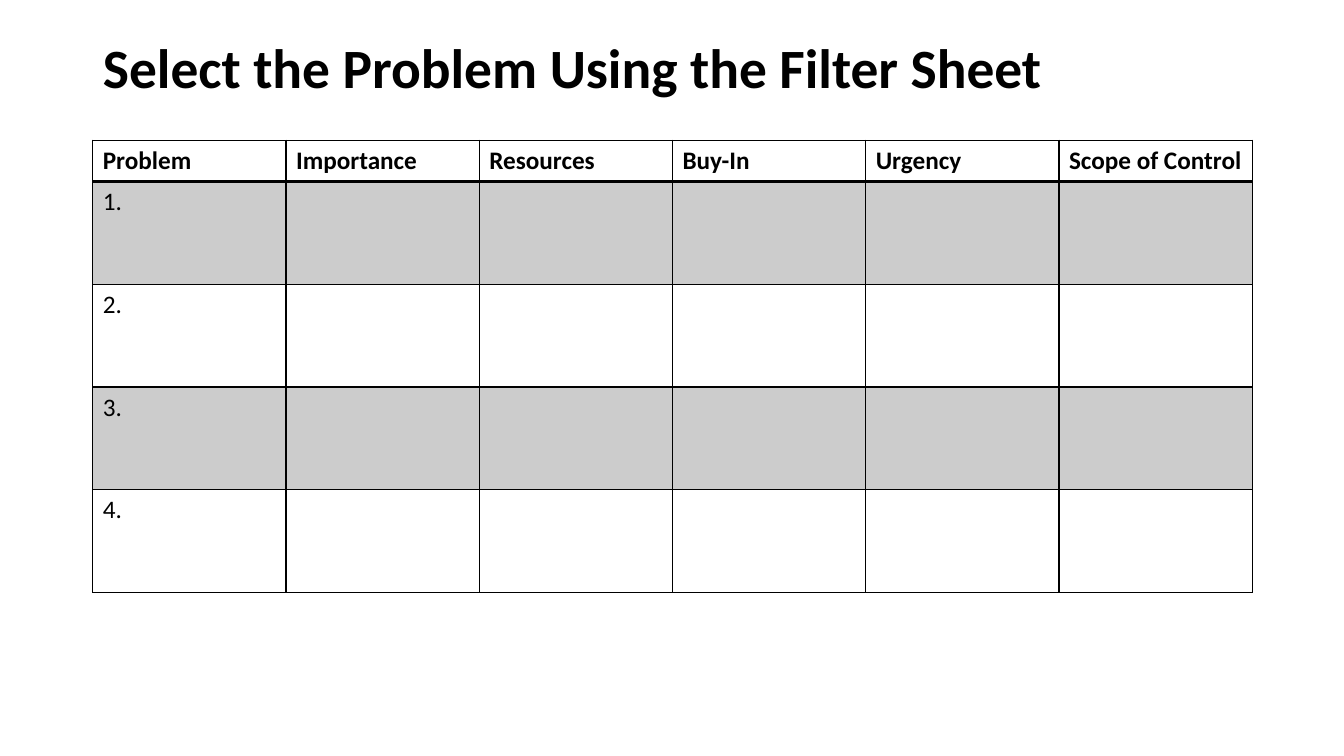
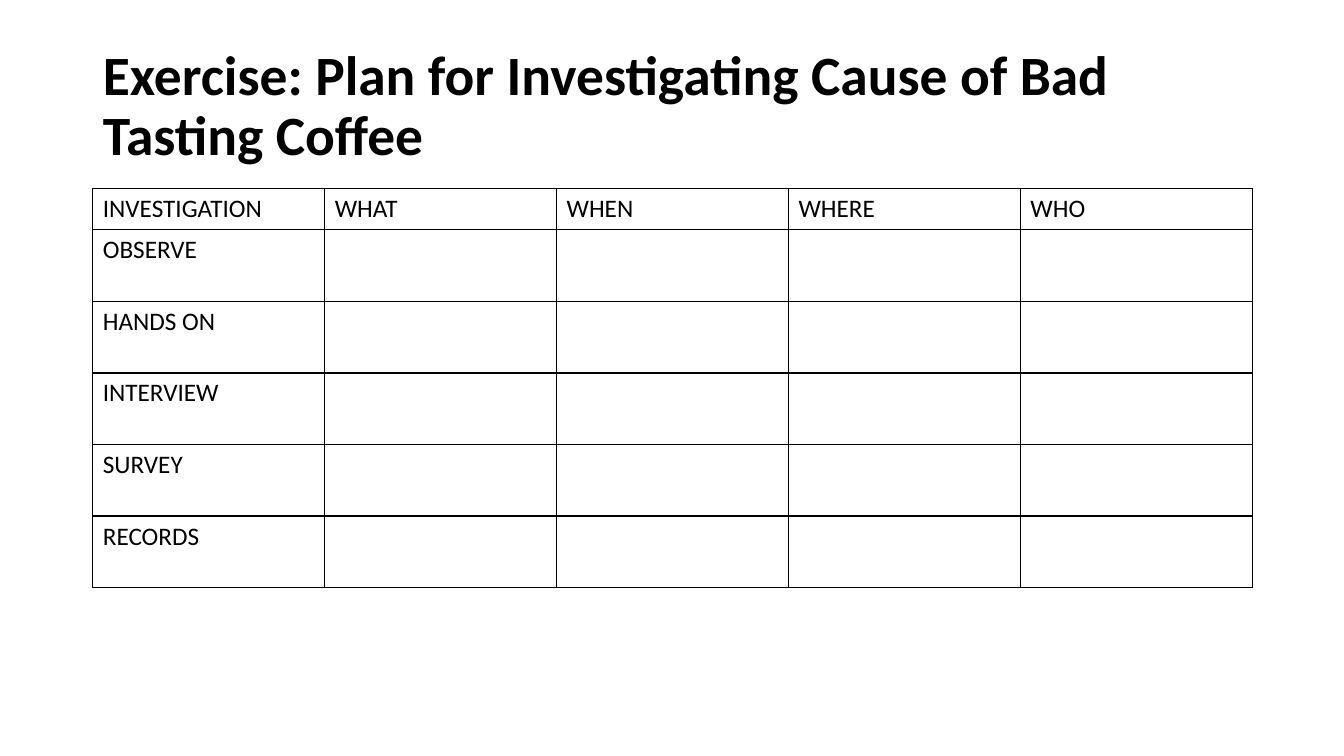
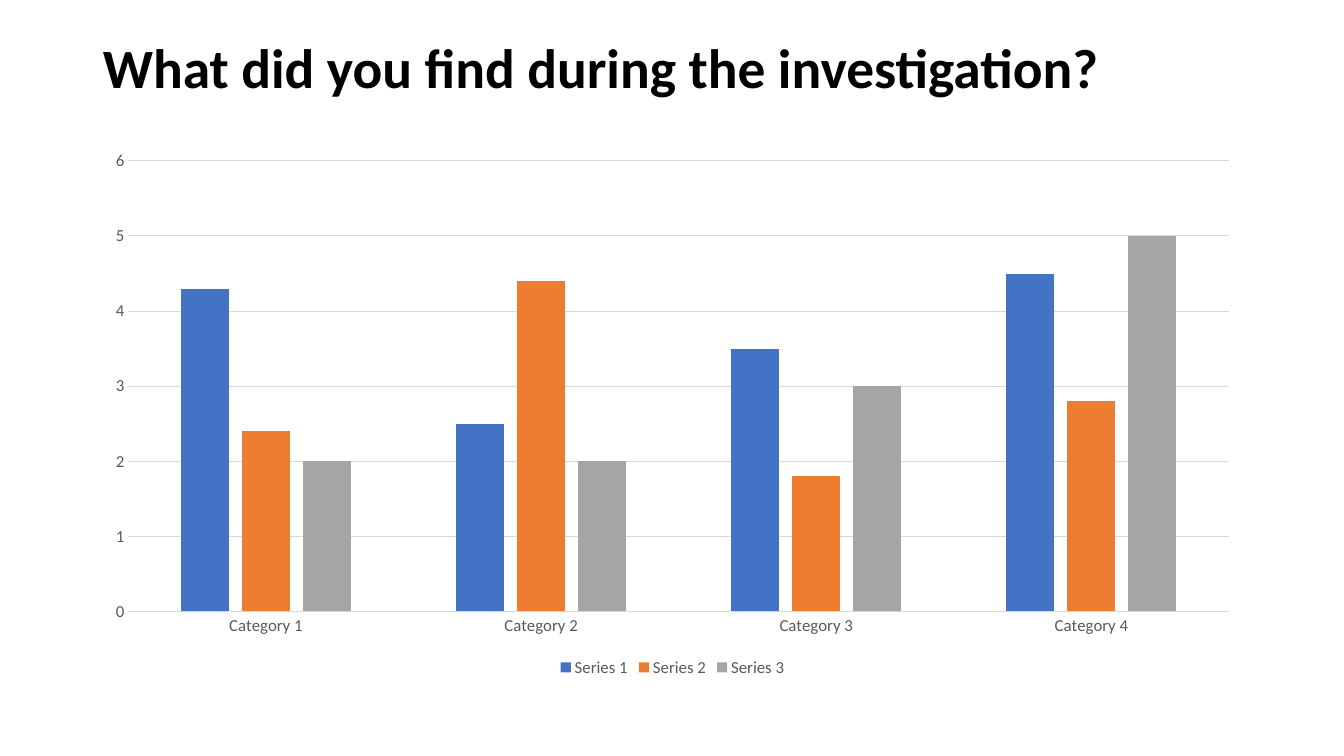
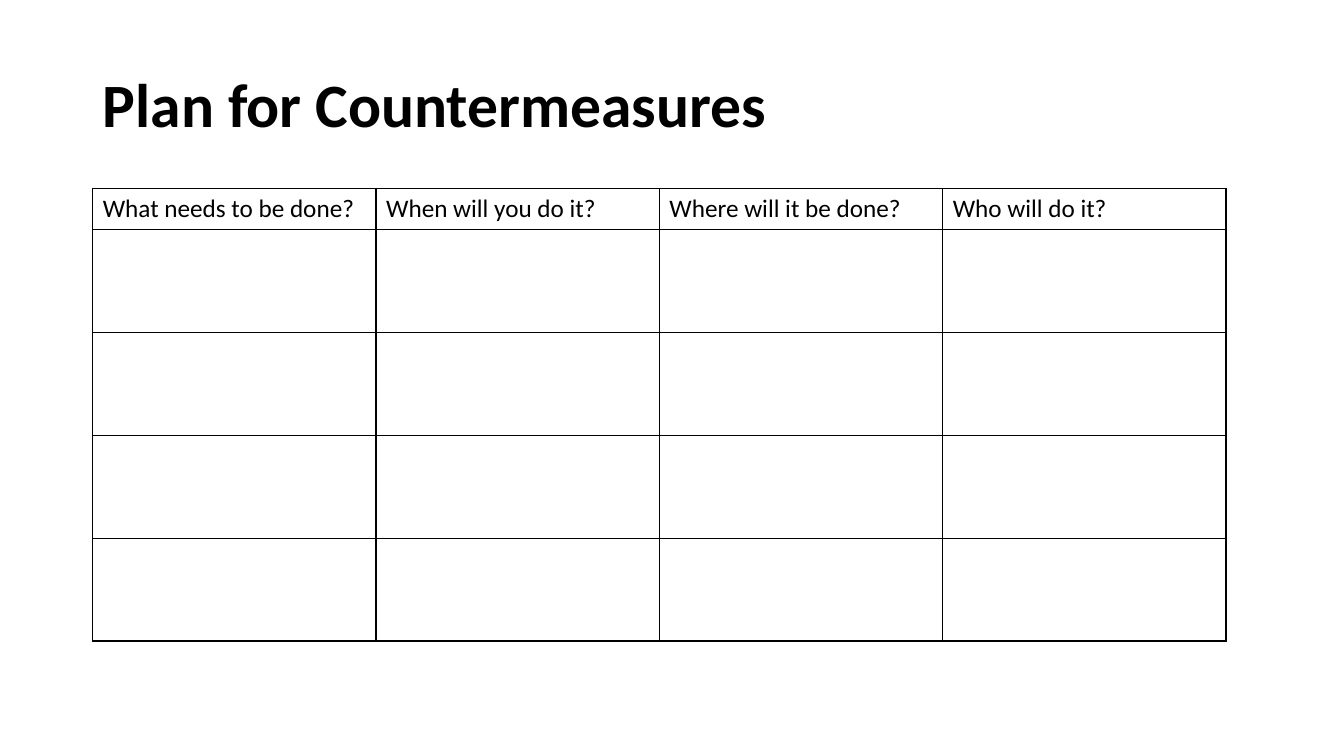
from lxml import etree
from pptx import Presentation
from pptx.chart.data import CategoryChartData
from pptx.dml.color import RGBColor
from pptx.enum.chart import XL_CHART_TYPE, XL_LEGEND_POSITION, XL_TICK_MARK
from pptx.enum.text import MSO_ANCHOR, MSO_AUTO_SIZE, PP_ALIGN
from pptx.oxml.ns import qn
from pptx.util import Inches, Pt

COLUMN = XL_CHART_TYPE.COLUMN_CLUSTERED
LEGEND_BOTTOM = XL_LEGEND_POSITION.BOTTOM
NO_TICK = XL_TICK_MARK.NONE
MIDDLE = MSO_ANCHOR.MIDDLE
NO_AUTOFIT = MSO_AUTO_SIZE.NONE
LEFT = PP_ALIGN.LEFT

FONT = "Calibri"
BLACK, BAND, GRID, LABEL = "000000", "CCCCCC", "D9D9D9", "595959"
SERIES_COLORS = ("4472C4", "ED7D31", "A5A5A5")

SLIDE_W, SLIDE_H = 13.33, 7.5
MARGIN = 0.92
CONTENT_W = 11.5
TITLE_TOP = 0.4
SHORT_TITLE, TALL_TITLE = 0.59, 1.34
HIGH_TOP, LOW_TOP = 1.39, 1.87
HEADER_H = 0.41


def rgb(color):
    return RGBColor.from_string(color)


def set_font(font, size, color=BLACK, bold=False):
    font.name = FONT
    font.size = Pt(size)
    font.bold = bold
    font.color.rgb = rgb(color)


def add_titled_slide(prs, text, height, size=39.6):
    s = prs.slides.add_slide(prs.slide_layouts[5])
    title = s.shapes.title
    title.left, title.top = Inches(MARGIN), Inches(TITLE_TOP)
    title.width, title.height = Inches(CONTENT_W), Inches(height)
    tf = title.text_frame
    tf.text = text
    tf.word_wrap = True
    tf.auto_size = NO_AUTOFIT
    tf.vertical_anchor = MIDDLE
    p = tf.paragraphs[0]
    p.alignment = LEFT
    p.line_spacing = 0.9
    set_font(p.font, size, bold=True)
    return s


def set_borders(cell, bottom=1):
    """Draw black 1 pt lines round a cell; the bottom one may be heavier."""
    tc_pr = cell._tc.get_or_add_tcPr()
    for side, width in (("L", 1), ("R", 1), ("T", 1), ("B", bottom)):
        ln = etree.SubElement(tc_pr, qn(f"a:ln{side}"), w=str(Pt(width)))
        fill = etree.SubElement(ln, qn("a:solidFill"))
        etree.SubElement(fill, qn("a:srgbClr"), val=BLACK)


def add_worksheet(s, top, headers, row_labels, row_h, width=CONTENT_W,
                  strong_header=False, banded=False):
    """Add a table with a header row, labels in column one and empty cells."""
    rows = [headers] + [[label] + [""] * (len(headers) - 1) for label in row_labels]
    heights = [HEADER_H] + [row_h] * len(row_labels)
    table = s.shapes.add_table(len(rows), len(headers), Inches(MARGIN), Inches(top),
                               Inches(width), Inches(sum(heights))).table
    table.first_row = table.horz_banding = False
    for i, texts in enumerate(rows):
        table.rows[i].height = Inches(heights[i])
        strong = strong_header and i == 0
        for j, text in enumerate(texts):
            cell = table.cell(i, j)
            cell.text = text
            set_font(cell.text_frame.paragraphs[0].font, 18, bold=strong)
            set_borders(cell, bottom=2 if strong else 1)
            if banded and i % 2:
                cell.fill.solid()
                cell.fill.fore_color.rgb = rgb(BAND)
            else:
                cell.fill.background()


def set_line(line, color):
    line.color.rgb = rgb(color)
    line.width = Pt(0.75)


def add_column_chart(s, top, height, categories, series):
    data = CategoryChartData()
    data.categories = categories
    for name, values in series:
        data.add_series(name, values)
    chart = s.shapes.add_chart(COLUMN, Inches(MARGIN), Inches(top), Inches(CONTENT_W),
                               Inches(height), data).chart
    set_font(chart.font, 10)
    chart.has_title = False

    chart.has_legend = True
    chart.legend.position = LEGEND_BOTTOM
    chart.legend.include_in_layout = False
    set_font(chart.legend.font, 12, LABEL)

    for axis in (chart.category_axis, chart.value_axis):
        axis.major_tick_mark = axis.minor_tick_mark = NO_TICK
        set_font(axis.tick_labels.font, 12, LABEL)
    set_line(chart.category_axis.format.line, GRID)
    chart.value_axis.format.line.fill.background()
    set_line(chart.value_axis.major_gridlines.format.line, GRID)

    plot = chart.plots[0]
    plot.gap_width = 219
    plot.overlap = -27
    plot.vary_by_categories = False
    for bars, color in zip(plot.series, SERIES_COLORS):
        bars.format.fill.solid()
        bars.format.fill.fore_color.rgb = rgb(color)


def main():
    prs = Presentation()
    prs.slide_width, prs.slide_height = Inches(SLIDE_W), Inches(SLIDE_H)

    s = add_titled_slide(prs, "Select the Problem Using the Filter Sheet", SHORT_TITLE)
    add_worksheet(s, HIGH_TOP,
                  ["Problem", "Importance", "Resources", "Buy-In", "Urgency",
                   "Scope of Control"],
                  ["1.", "2.", "3.", "4."], 1.02, strong_header=True, banded=True)

    s = add_titled_slide(
        prs, "Exercise: Plan for Investigating Cause of Bad Tasting Coffee", TALL_TITLE)
    add_worksheet(s, LOW_TOP, ["INVESTIGATION", "WHAT", "WHEN", "WHERE", "WHO"],
                  ["OBSERVE", "HANDS ON", "INTERVIEW", "SURVEY", "RECORDS"], 0.71)

    s = add_titled_slide(prs, "What did you find during the investigation?", SHORT_TITLE)
    add_column_chart(s, HIGH_TOP, 5.37, [f"Category {n}" for n in range(1, 5)],
                     [("Series 1", (4.3, 2.5, 3.5, 4.5)),
                      ("Series 2", (2.4, 4.4, 1.8, 2.8)),
                      ("Series 3", (2, 2, 3, 5))])

    s = add_titled_slide(prs, "Plan for Countermeasures", TALL_TITLE, size=44)
    add_worksheet(s, LOW_TOP,
                  ["What needs to be done?", "When will you do it?",
                   "Where will it be done?", "Who will do it?"],
                  [""] * 4, 1.02, width=11.24)

    prs.save("out.pptx")


if __name__ == "__main__":
    main()
